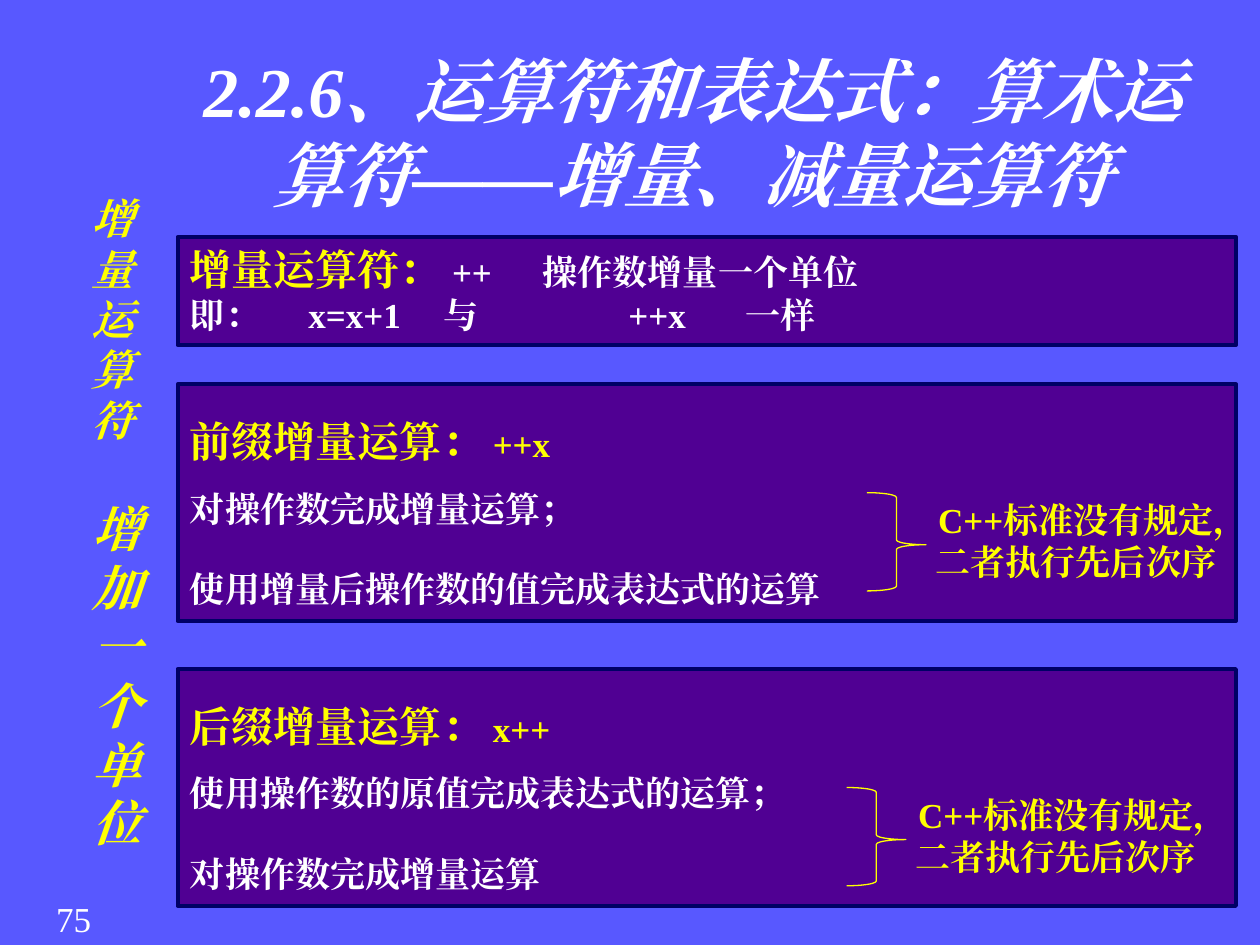
from dataclasses import dataclass

from lxml import etree
from pptx import Presentation
from pptx.dml.color import RGBColor
from pptx.enum.shapes import MSO_SHAPE
from pptx.enum.text import MSO_ANCHOR, MSO_AUTO_SIZE, PP_ALIGN
from pptx.oxml.ns import qn
from pptx.util import Inches, Pt

RECT, BRACE = MSO_SHAPE.RECTANGLE, MSO_SHAPE.RIGHT_BRACE
LEFT, CENTER = PP_ALIGN.LEFT, PP_ALIGN.CENTER
TOP, FIXED = MSO_ANCHOR.TOP, MSO_AUTO_SIZE.NONE
COLS, ROWS = 100, 75


@dataclass(frozen=True)
class Theme:
    back: str = "5858FF"
    panel: str = "500093"
    edge: str = "000066"
    white: str = "FFFFFF"
    gold: str = "FFFF00"
    serif: str = "Times New Roman"
    sans: str = "Noto Sans CJK SC"
    title: int = 40
    large: int = 28
    head: int = 24
    body: int = 20


THEME = Theme()


def color(code):
    return RGBColor.from_string(code)


def write(para, text, size=THEME.body, ink=THEME.white, face=THEME.serif,
          bold=True, italic=False):
    for index, line in enumerate(text.split("\n")):
        if index:
            para.add_line_break()
        if not line:
            continue
        run = para.add_run()
        run.text = line
        font = run.font
        font.size, font.bold, font.italic = Pt(size), bold, italic
        font.name = face
        font.color.rgb = color(ink)
        east = etree.SubElement(run._r.get_or_add_rPr(), qn("a:ea"))
        east.set("typeface", THEME.serif)


class Deck:
    def __init__(self, theme):
        self.theme = theme
        self.file = Presentation()
        self.file.slide_width, self.file.slide_height = Inches(10), Inches(7.5)
        self.slide = self.file.slides.add_slide(self.file.slide_layouts[5])
        fill = self.slide.background.fill
        fill.solid()
        fill.fore_color.rgb = color(theme.back)

    def place(self, col, row, wide, high):
        across = self.file.slide_width / COLS
        down = self.file.slide_height / ROWS
        return [round(n) for n in (col * across, row * down,
                                   wide * across, high * down)]

    def para(self, frame, first=True, align=LEFT, space=1, before=0, tabs=()):
        para = frame.paragraphs[0] if first else frame.add_paragraph()
        para.alignment, para.line_spacing = align, space
        para.space_before = Pt(before)
        if tabs:
            stops = etree.SubElement(para._p.get_or_add_pPr(), qn("a:tabLst"))
            for col in tabs:
                stop = etree.SubElement(stops, qn("a:tab"))
                stop.set("pos", str(self.place(col, 0, 0, 0)[0]))
                stop.set("algn", "l")
        return para

    def frame(self, shape):
        frame = shape.text_frame
        frame.word_wrap, frame.auto_size = True, FIXED
        frame.vertical_anchor = TOP
        return frame

    def title(self, box, parts):
        shape = self.slide.shapes.title
        shape.left, shape.top, shape.width, shape.height = self.place(*box)
        para = self.para(self.frame(shape), align=CENTER)
        for text, face in parts:
            write(para, text, size=self.theme.title, face=face, italic=True)

    def panel(self, row, high):
        shape = self.slide.shapes.add_shape(
            RECT, *self.place(14.1, row, 84, high))
        shape.shadow.inherit = False
        shape.fill.solid()
        shape.fill.fore_color.rgb = color(self.theme.panel)
        shape.line.color.rgb = color(self.theme.edge)
        shape.line.width = Pt(2.25)
        return self.frame(shape)

    def label(self, box, text, home=None, indent=0, **style):
        shapes = home or self.slide.shapes
        frame = self.frame(shapes.add_textbox(*self.place(*box)))
        para = self.para(frame, align=CENTER)
        if indent:
            frame.margin_left = frame.margin_right = 0
            shift = self.place(indent, 0, 0, 0)[0]
            para._p.get_or_add_pPr().set("marL", str(shift))
        write(para, text, **style)

    def steps(self, row, head, sample, first, last):
        frame = self.panel(row, 18.8)
        para = self.para(frame, space=1.5)
        gold = self.theme.gold
        write(para, head, size=self.theme.head, ink=gold)
        write(para, f" {sample}\n", ink=gold)
        write(para, first)
        write(self.para(frame, first=False, space=1.5, before=10), last)

    def note(self, col, row, text):
        shapes = self.slide.shapes.add_group_shape().shapes
        brace = shapes.add_shape(BRACE, *self.place(col, row, 4.7, 7.8))
        brace.shadow.inherit = False
        brace.fill.background()
        brace.line.color.rgb = color(self.theme.gold)
        brace.line.width = Pt(0.75)
        brace.adjustments[0], brace.adjustments[1] = 0.08, 0.53
        self.label((col + 3.1, row, 25, 7.7), text, home=shapes,
                   indent=2, ink=self.theme.gold)


def main():
    deck = Deck(THEME)
    deck.label((1.7, 70.7, 8.3, 4.3), "75", bold=False)
    deck.title((15, 3.3, 80, 12.5), [
        ("2.2.6、运算符和表达式：", THEME.serif),
        ("算术运算符——", THEME.sans),
        ("增量、减量运算符", THEME.serif)])

    frame = deck.panel(18.8, 8.6)
    para = deck.para(frame, tabs=(20.8, 28))
    write(para, "增量运算符：", size=THEME.head, ink=THEME.gold)
    write(para, "\t++\t操作数增量一个单位")
    para = deck.para(frame, first=False, tabs=(9.4, 20.1, 34.8, 44.1))
    write(para, "即：\tx=x+1\t与\t++x\t一样")

    deck.steps(30.5, "前缀增量运算：", "++x",
               "对操作数完成增量运算；", "使用增量后操作数的值完成表达式的运算")
    deck.steps(53.1, "后缀增量运算：", "x++",
               "使用操作数的原值完成表达式的运算；", "对操作数完成增量运算")

    deck.label((4.7, 14.8, 8.5, 21.2), "增量运算符",
               size=THEME.head, ink=THEME.gold, italic=True)
    deck.label((5.5, 39.1, 5.5, 29.3), "增加一个单位", indent=2,
               size=THEME.large, ink=THEME.gold, italic=True)
    for col, row in ((68.8, 39.1), (67.2, 62.5)):
        deck.note(col, row, "C++标准没有规定，二者执行先后次序")
    deck.file.save("out.pptx")


if __name__ == "__main__":
    main()
